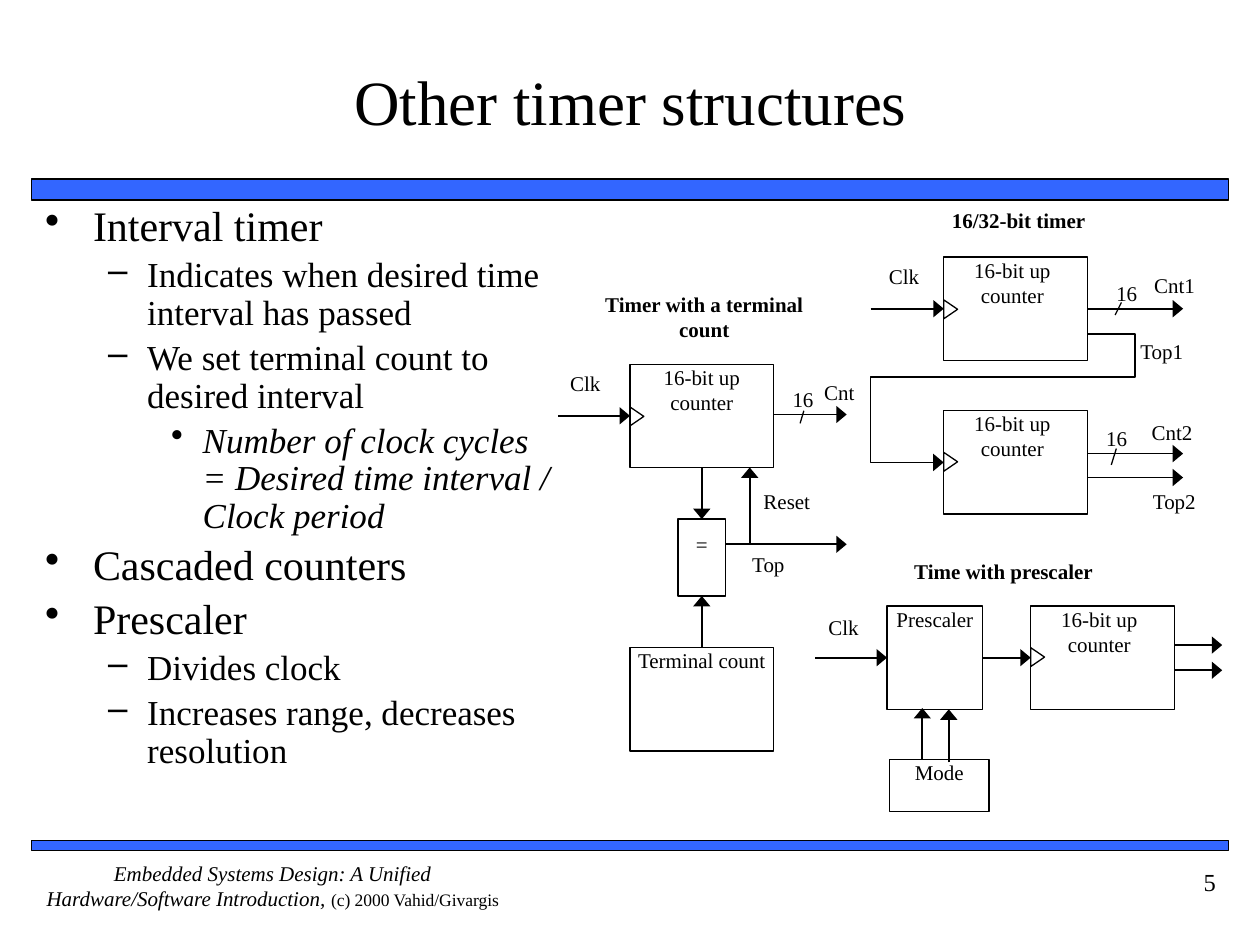
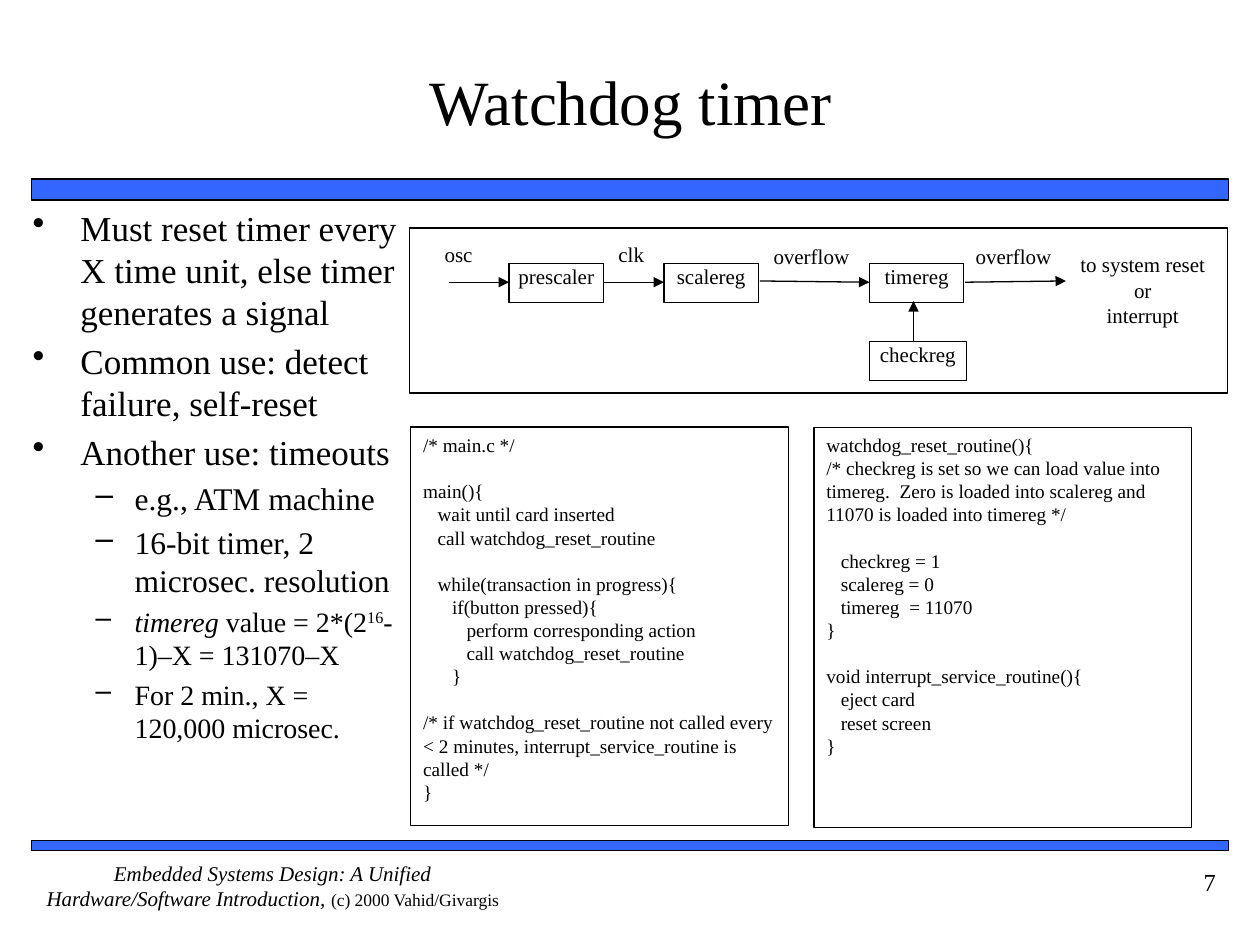
from dataclasses import dataclass

from lxml.etree import SubElement
from pptx import Presentation
from pptx.dml.color import RGBColor
from pptx.enum.shapes import MSO_CONNECTOR, MSO_SHAPE
from pptx.enum.text import MSO_ANCHOR, MSO_AUTO_SIZE, PP_ALIGN
from pptx.oxml.ns import qn
from pptx.util import Inches, Pt


@dataclass(frozen=True)
class Theme:
    font: str = "Times New Roman"
    ink: RGBColor = RGBColor(0, 0, 0)
    band: RGBColor = RGBColor(0x33, 0x66, 0xFF)
    title: int = 36
    number: int = 14
    label: int = 12
    credit: int = 10
    code: int = 11
    thin: float = 0.75
    line: float = 1


THEME = Theme()
LEFT, CENTER, RIGHT = PP_ALIGN.LEFT, PP_ALIGN.CENTER, PP_ALIGN.RIGHT
NO_INSET = (0, 0, 0, 0)
TEXT_INSET = (0.1, 0.05, 0.1, 0.05)
SHIFTED = (0, 0, 0.05, 0)
CORNER = (0.03, 0.03, 0, 0)

# Bullet level: left margin, first-line indent, character
LEVELS = [(0.38, -0.38, "•"), (0.81, -0.31, "–"), (1.25, -0.25, "•")]

TIMER_POINTS = [
    (0, 24, "Interval timer"),
    (1, 20, "Indicates when desired time interval has passed"),
    (1, 20, "We set terminal count to desired interval"),
    (2, 20, [("Number of clock cycles  = Desired time interval / Clock period",
              {"italic": True})]),
    (0, 24, "Cascaded counters"),
    (0, 24, "Prescaler"),
    (1, 20, "Divides clock"),
    (1, 20, "Increases range, decreases resolution"),
]

WATCHDOG_POINTS = [
    (0, 20, "Must reset timer every X time unit, else timer generates a signal"),
    (0, 20, "Common use: detect failure, self-reset"),
    (0, 20, "Another use: timeouts"),
    (1, 18, "e.g., ATM machine"),
    (1, 18, "16-bit timer, 2 microsec. resolution"),
    (1, 16, [("timereg", {"italic": True}), (" value = 2*(2", {}),
             ("16", {"baseline": 30000}), ("-1)–X = 131070–X", {})]),
    (1, 16, "For 2 min., X = 120,000 microsec."),
]

MAIN_CODE = """/* main.c */

main(){
   wait until card inserted
   call watchdog_reset_routine

   while(transaction in progress){
      if(button pressed){
         perform corresponding action
         call watchdog_reset_routine
      }

/* if watchdog_reset_routine not called every < 2 minutes, interrupt_service_routine is called */
}"""

RESET_CODE = """watchdog_reset_routine(){
/* checkreg is set so we can load value into timereg.  Zero is loaded into scalereg and 11070 is loaded into timereg */

   checkreg = 1
   scalereg = 0
   timereg  = 11070
}

void interrupt_service_routine(){
   eject card
   reset screen
}"""


# Text
def set_frame(tf, inset=NO_INSET, anchor=MSO_ANCHOR.TOP):
    sides = ("margin_left", "margin_top", "margin_right", "margin_bottom")
    values = dict(zip(sides, map(Inches, inset)))
    values.update(word_wrap=True, auto_size=MSO_AUTO_SIZE.NONE,
                  vertical_anchor=anchor)
    for name, value in values.items():
        setattr(tf, name, value)


def add_runs(p, runs, size, **shared):
    if isinstance(runs, str):
        runs = [(runs, {})]
    for text, extra in runs:
        r = p.add_run()
        r.text = text
        fmt = {"name": THEME.font, "size": Pt(size), **shared, **extra}
        baseline = fmt.pop("baseline", None)
        for name, value in fmt.items():
            setattr(r.font, name, value)
        r.font.color.rgb = THEME.ink
        if baseline:
            r.font._element.set("baseline", str(baseline))


def next_paragraph(tf, index):
    return tf.paragraphs[0] if index == 0 else tf.add_paragraph()


def write(tf, lines, size=THEME.label, align=CENTER, **shared):
    for i, line in enumerate(lines):
        p = next_paragraph(tf, i)
        p.alignment = align
        add_runs(p, line, size, **shared)


def add_label(s, at, *lines, inset=NO_INSET, **style):
    tf = s.shapes.add_textbox(*map(Inches, at)).text_frame
    set_frame(tf, inset)
    write(tf, lines, **style)


def add_bullets(s, at, points, line_spacing):
    tf = s.shapes.add_textbox(*map(Inches, at)).text_frame
    set_frame(tf, TEXT_INSET)
    for i, (level, size, runs) in enumerate(points):
        p = next_paragraph(tf, i)
        margin, indent, char = LEVELS[level]
        pPr = p._p.get_or_add_pPr()
        pPr.set("marL", str(Inches(margin)))
        pPr.set("indent", str(Inches(indent)))
        SubElement(pPr, qn("a:buChar")).set("char", char)
        p.level = level
        p.line_spacing = line_spacing
        if i:
            p.space_before = Pt(0.2 * size)
        add_runs(p, runs, size)


# Shapes and lines
def style_shape(sp, width=THEME.thin, fill=None):
    sp.shadow.inherit = False
    sp.line.color.rgb = THEME.ink
    sp.line.width = Pt(width)
    if fill is None:
        sp.fill.background()
    else:
        sp.fill.solid()
        sp.fill.fore_color.rgb = fill


def add_box(s, at, text=None, inset=NO_INSET, kind=MSO_SHAPE.RECTANGLE, **style):
    sp = s.shapes.add_shape(kind, *map(Inches, at))
    style_shape(sp, **style)
    set_frame(sp.text_frame, inset)
    if text:
        write(sp.text_frame, [text])
    return sp


def add_code(s, at, code):
    tf = add_box(s, at, inset=TEXT_INSET).text_frame
    blank, count = False, 0
    for line in code.splitlines():
        if not line:
            blank = True
            continue
        p = next_paragraph(tf, count)
        p.alignment = LEFT
        if blank:
            p.space_before = Pt(1.2 * THEME.code)
        add_runs(p, line, THEME.code)
        blank, count = False, count + 1


def add_head(sp, size):
    tail = SubElement(sp.line._get_or_add_ln(), qn("a:tailEnd"))
    for name, value in {"type": "triangle", "w": size, "len": "med"}.items():
        tail.set(name, value)


def add_line(s, x1, y1, x2, y2, width=THEME.line, head="lg"):
    c = s.shapes.add_connector(MSO_CONNECTOR.STRAIGHT,
                               *map(Inches, (x1, y1, x2, y2)))
    c.line.color.rgb = THEME.ink
    c.line.width = Pt(width)
    if head:
        add_head(c, head)
    SubElement(c._element.spPr, qn("a:effectLst"))


def add_route(s, points):
    start, *rest = [tuple(map(Inches, point)) for point in points]
    builder = s.shapes.build_freeform(*start)
    builder.add_line_segments(rest, close=False)
    sp = builder.convert_to_shape()
    style_shape(sp, THEME.line)
    add_head(sp, "lg")


def add_counter(s, left, top, clock_y, inset=SHIFTED):
    add_box(s, (left, top, 1.14, 0.82), "16-bit up counter", inset)
    wedge = add_box(s, (left - 0.02, clock_y - 0.05, 0.15, 0.11),
                    kind=MSO_SHAPE.ISOSCELES_TRIANGLE)
    wedge.rotation = 90


# Shared slide frame
def new_slide(prs, title, number):
    s = prs.slides.add_slide(prs.slide_layouts[5])
    for top, height in ((1.42, 0.17), (6.67, 0.08)):
        add_box(s, (0.25, top, 9.5, height), width=THEME.line, fill=THEME.band)
    sp = s.shapes.title
    frame = dict(zip(("left", "top", "width", "height"),
                     map(Inches, (0.42, 0.17, 9.17, 1.25))))
    for name, value in frame.items():
        setattr(sp, name, value)
    set_frame(sp.text_frame, (0, 0.05, 0, 0.05), MSO_ANCHOR.MIDDLE)
    write(sp.text_frame, [title], THEME.title)
    add_label(s, (0.25, 6.83, 3.83, 0.5), [
        ("Embedded Systems Design: A Unified Hardware/Software Introduction, ",
         {"italic": True}),
        ("(c) 2000 Vahid/Givargis", {"size": Pt(THEME.credit)})])
    add_label(s, (8.75, 6.83, 1, 0.5), str(number), inset=TEXT_INSET,
              size=THEME.number, align=RIGHT)
    return s


# Diagrams
def draw_terminal_count(s):
    add_label(s, (4.71, 2.31, 1.76, 0.41), "Timer with a terminal count", bold=True)
    add_counter(s, 5, 2.89, 3.3, NO_INSET)
    add_box(s, (5, 5.14, 1.14, 0.82), "Terminal count")
    add_box(s, (5.38, 4.12, 0.38, 0.61), "=", (0, 0.1, 0, 0))
    for ends in ((4.43, 3.3, 5, 3.3), (6.14, 3.29, 6.72, 3.29),
                 (5.76, 4.32, 6.72, 4.32), (5.57, 3.71, 5.57, 4.12),
                 (5.57, 5.14, 5.57, 4.73), (5.95, 4.32, 5.95, 3.71)):
        add_line(s, *ends)
    add_line(s, 6.38, 3.26, 6.35, 3.36, THEME.thin, None)
    add_label(s, (4.38, 2.94, 0.53, 0.26), "Clk")
    for text, at in (("16", (6.29, 3.07, 0.26, 0.23)),
                     ("Cnt", (6.54, 3.01, 0.41, 0.3)),
                     ("Top", (5.97, 4.38, 0.57, 0.24)),
                     ("Reset", (6.06, 3.88, 0.76, 0.27))):
        add_label(s, at, text, align=LEFT)


def draw_cascade(s):
    add_label(s, (7.32, 1.65, 1.53, 0.31), "16/32-bit timer", bold=True)
    add_counter(s, 7.49, 2.04, 2.45)
    add_counter(s, 7.49, 3.26, 3.66)
    add_line(s, 6.91, 2.45, 7.49, 2.45)
    for y in (2.45, 3.6, 3.79):
        add_line(s, 8.63, y, 9.39, y)
    add_route(s, [(8.63, 2.65), (9.01, 2.65), (9.01, 2.99),
                  (6.91, 2.99), (6.91, 3.67), (7.49, 3.67)])
    for slash in ((8.9, 2.4, 8.85, 2.5), (8.86, 3.56, 8.82, 3.69)):
        add_line(s, *slash, THEME.thin, None)
    add_label(s, (6.89, 2.09, 0.57, 0.33), "Clk")
    for text, at, inset in (("16", (8.86, 2.23, 0.27, 0.24), NO_INSET),
                            ("16", (8.78, 3.38, 0.27, 0.24), NO_INSET),
                            ("Cnt1", (9.16, 2.16, 0.45, 0.28), NO_INSET),
                            ("Cnt2", (9.14, 3.33, 0.57, 0.26), NO_INSET),
                            ("Top1", (9.02, 2.66, 0.43, 0.3), CORNER),
                            ("Top2", (9.12, 3.85, 0.61, 0.34), CORNER)):
        add_label(s, at, text, inset=inset, align=LEFT)


def draw_prescaler(s):
    add_label(s, (6.94, 4.43, 2.05, 0.34), "Time with prescaler", bold=True)
    add_label(s, (6.39, 4.88, 0.61, 0.3), "Clk")
    add_counter(s, 8.18, 4.81, 5.21)
    add_box(s, (7.04, 4.81, 0.76, 0.82), "Prescaler")
    add_box(s, (7.06, 6.03, 0.79, 0.41), "Mode")
    for ends in ((6.47, 5.22, 7.04, 5.22), (7.8, 5.22, 8.18, 5.22),
                 (9.32, 5.12, 9.7, 5.12), (9.32, 5.32, 9.7, 5.32),
                 (7.32, 6.03, 7.32, 5.62), (7.53, 6.05, 7.53, 5.63)):
        add_line(s, *ends)


def draw_watchdog(s):
    add_box(s, (3.25, 1.81, 6.49, 1.31))
    for text, left, top, width in (("prescaler", 4.04, 2.09, 0.75),
                                   ("scalereg", 5.27, 2.09, 0.75),
                                   ("timereg", 6.9, 2.09, 0.75),
                                   ("checkreg", 6.9, 2.71, 0.77)):
        add_box(s, (left, top, width, 0.31), text)
    for ends in ((3.56, 2.24, 4.04, 2.24), (4.79, 2.24, 5.27, 2.24),
                 (6.03, 2.23, 6.9, 2.24), (7.66, 2.24, 8.46, 2.23),
                 (7.25, 2.71, 7.25, 2.39)):
        add_line(s, *ends, THEME.thin, "med")
    for text, left, top, width in (("osc", 3.49, 1.92, 0.3),
                                   ("clk", 4.86, 1.92, 0.3),
                                   ("overflow", 6.07, 1.93, 0.74),
                                   ("overflow", 7.66, 1.93, 0.77)):
        add_label(s, (left, top, width, 0.31), text)
    add_label(s, (8.55, 2, 1.04, 1.1), "to system reset", "or", "interrupt")


def main():
    prs = Presentation()
    prs.slide_width, prs.slide_height = Inches(10), Inches(7.5)

    s = new_slide(prs, "Other timer structures", 5)
    add_bullets(s, (0.26, 1.58, 4.29, 4.77), TIMER_POINTS, 0.9)
    draw_terminal_count(s)
    draw_cascade(s)
    draw_prescaler(s)

    s = new_slide(prs, "Watchdog timer", 7)
    add_bullets(s, (0.16, 1.59, 3.15, 4.98), WATCHDOG_POINTS, 1.0)
    draw_watchdog(s)
    add_code(s, (3.26, 3.39, 3, 3.16), MAIN_CODE)
    add_code(s, (6.46, 3.39, 3, 3.18), RESET_CODE)

    prs.save("out.pptx")


if __name__ == "__main__":
    main()
